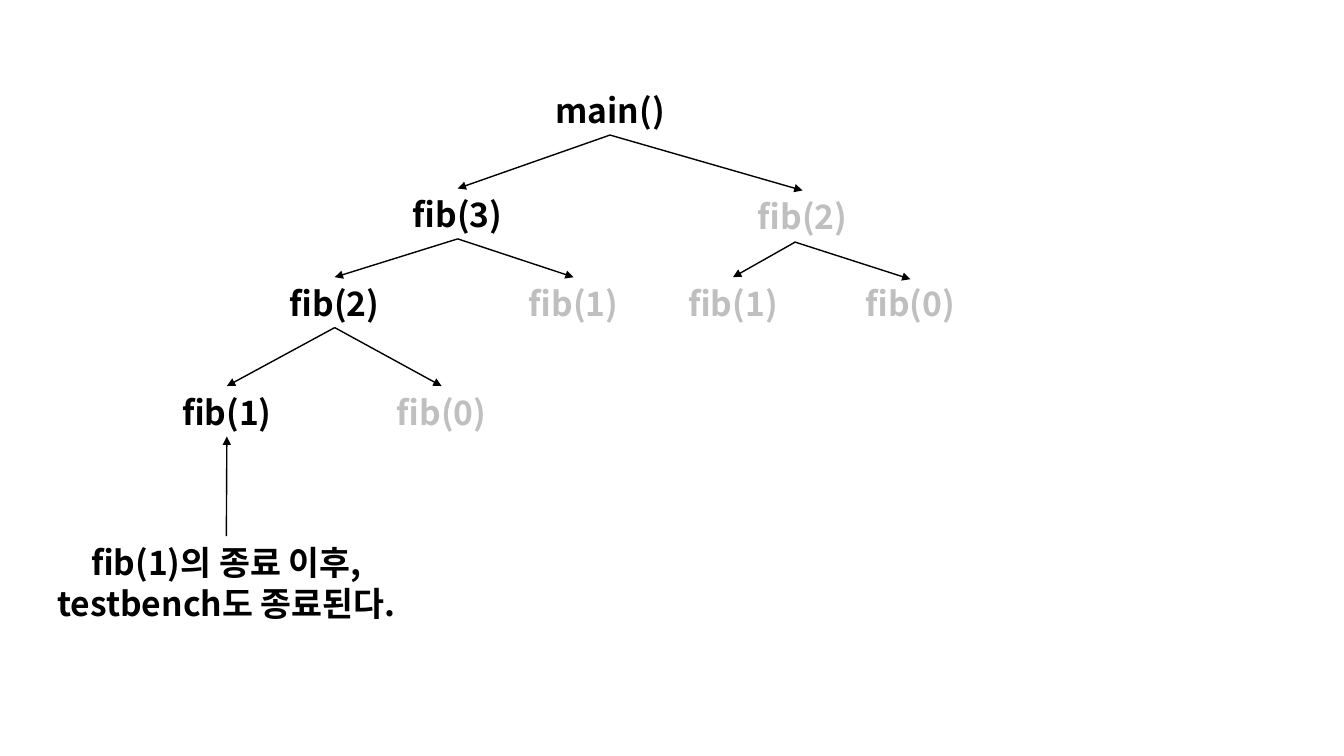
from lxml.etree import SubElement
from pptx import Presentation
from pptx.dml.color import RGBColor
from pptx.enum.shapes import MSO_CONNECTOR
from pptx.enum.text import MSO_ANCHOR, PP_ALIGN
from pptx.oxml.ns import qn
from pptx.util import Pt

PX = 9144  # 100 px to the inch
FONT = "Noto Sans CJK KR"
COLORS = {"active": "000000", "pending": "BFBFBF", "line": "000000"}
NODE_WIDTH, NODE_HEIGHT = 214, 50
TOP, LEFT, BOTTOM, RIGHT = range(4)

presentation = Presentation()
presentation.slide_width = 1333 * PX
presentation.slide_height = 750 * PX
slide = presentation.slides.add_slide(presentation.slide_layouts[6])


def add_label(text, left, top, width, height, state):
    shape = slide.shapes.add_textbox(left * PX, top * PX, width * PX, height * PX)
    frame = shape.text_frame
    frame.word_wrap = True
    frame.vertical_anchor = MSO_ANCHOR.TOP
    paragraph = frame.paragraphs[0]
    paragraph.alignment = PP_ALIGN.CENTER
    paragraph.line_spacing = Pt(29.2)
    run = paragraph.add_run()
    run.text = text
    for name, value in {"name": FONT, "size": Pt(24), "bold": True}.items():
        setattr(run.font, name, value)
    run.font.color.rgb = RGBColor.from_string(COLORS[state])
    SubElement(run.font._element, qn("a:ea"), typeface=FONT)
    return shape


def add_arrow(begin=(0, 0), end=(0, 0)):
    points = [length * PX for length in (*begin, *end)]
    connector = slide.shapes.add_connector(MSO_CONNECTOR.STRAIGHT, *points)
    connector.line.color.rgb = RGBColor.from_string(COLORS["line"])
    connector.line.width = Pt(1)
    SubElement(connector.line._get_or_add_ln(), qn("a:tailEnd"), type="triangle")
    SubElement(connector._element.spPr, qn("a:effectLst"))
    return connector


# Call tree: key, text, left, top, state
calls = [
    ("main", "main()", 498, 84, "active"),
    ("left", "fib(3)", 347, 187, "active"),
    ("right", "fib(2)", 689, 189, "pending"),
    ("left.left", "fib(2)", 225, 275, "active"),
    ("left.right", "fib(1)", 462, 275, "pending"),
    ("left.left.left", "fib(1)", 118, 383, "active"),
    ("left.left.right", "fib(0)", 331, 383, "pending"),
    ("right.left", "fib(1)", 620, 275, "pending"),
    ("right.right", "fib(0)", 796, 275, "pending"),
]
nodes = {
    key: add_label(text, left, top, NODE_WIDTH, NODE_HEIGHT, state)
    for key, text, left, top, state in calls
}
note = add_label("fib(1)의 종료 이후, testbench도 종료된다.", 11, 532, 427, 91, "active")

# Arrows from each caller to its callees
for caller, callee in [
    ("main", "left"),
    ("main", "right"),
    ("left", "left.left"),
    ("left", "left.right"),
    ("left.left", "left.left.left"),
    ("left.left", "left.left.right"),
]:
    arrow = add_arrow()
    arrow.begin_connect(nodes[caller], BOTTOM)
    arrow.end_connect(nodes[callee], TOP)

# The right branch starts slightly left of its caller's centre
add_arrow((789, 240), (726, 275)).end_connect(nodes["right.left"], TOP)
add_arrow((788, 240), (903, 277))

note_arrow = add_arrow()
note_arrow.begin_connect(note, TOP)
note_arrow.end_connect(nodes["left.left.left"], BOTTOM)

presentation.save("out.pptx")
